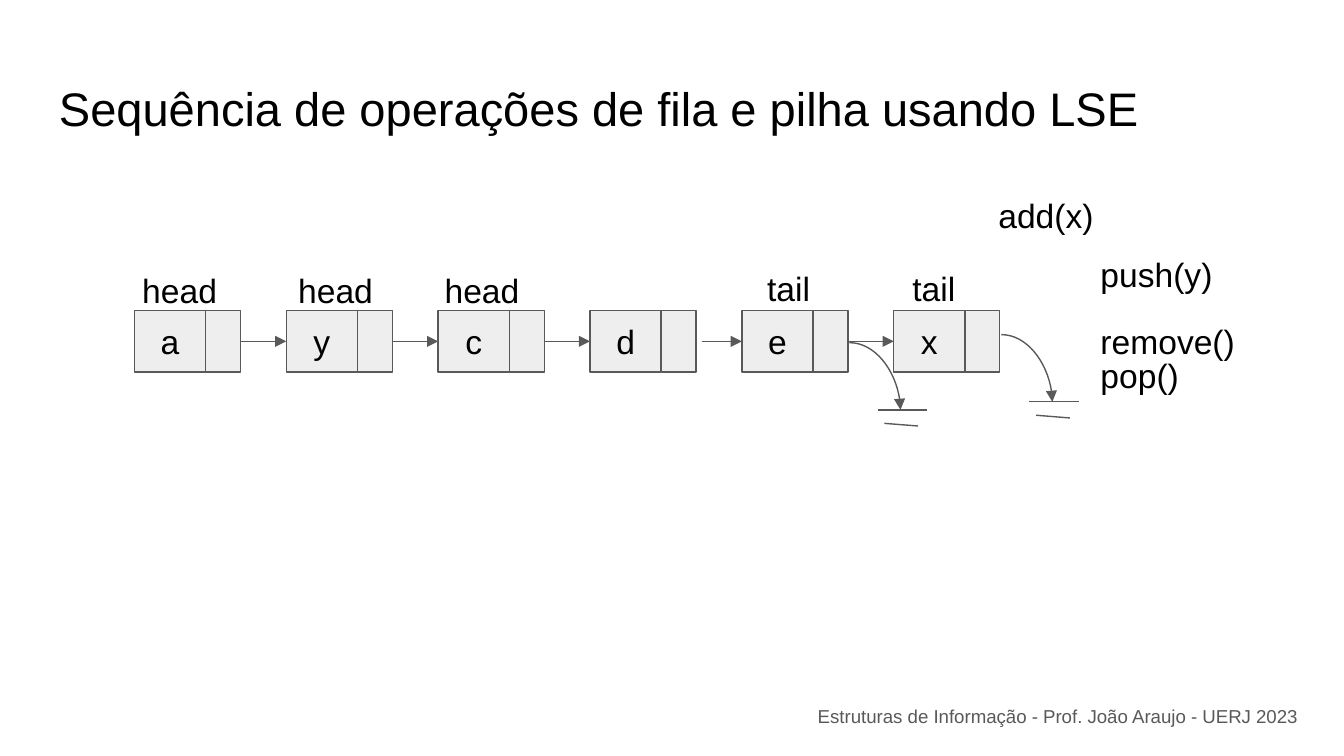
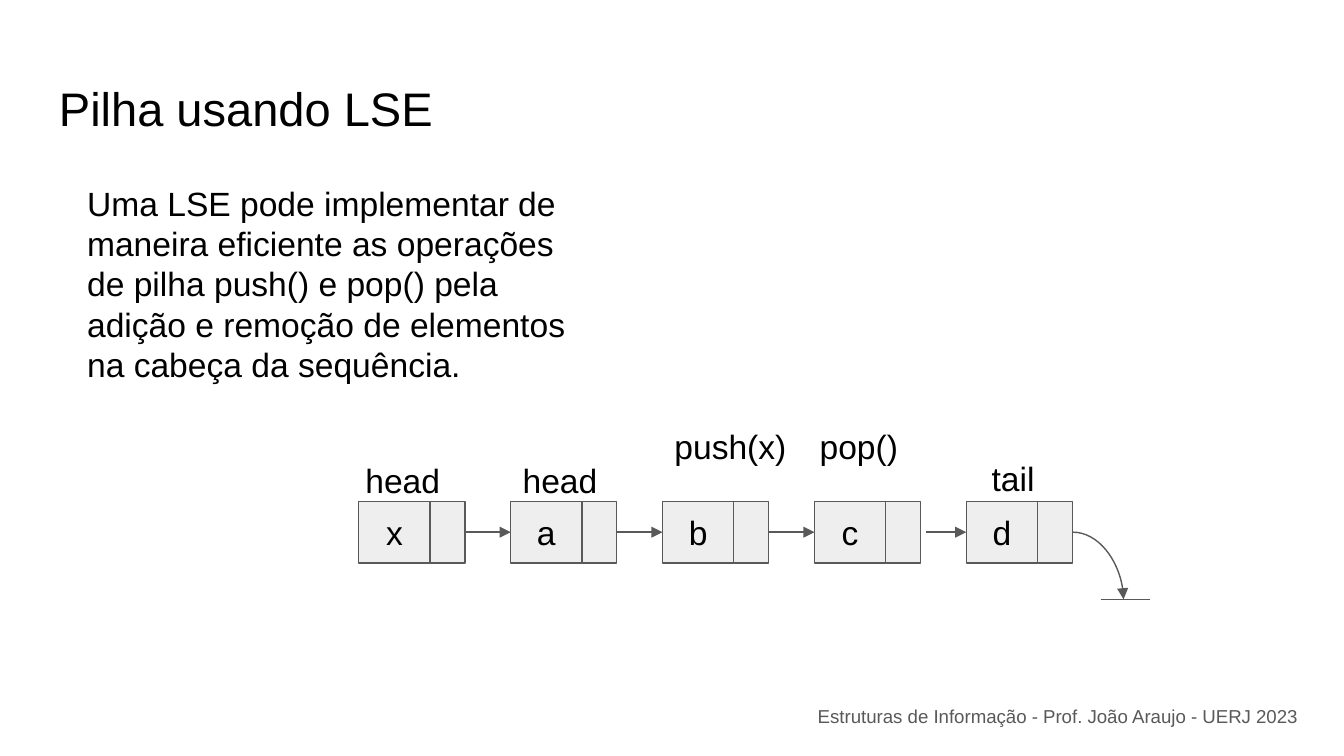
from lxml.etree import SubElement
from pptx import Presentation
from pptx.dml.color import RGBColor
from pptx.enum.shapes import MSO_CONNECTOR, MSO_SHAPE
from pptx.enum.text import MSO_ANCHOR, PP_ALIGN
from pptx.oxml.ns import qn
from pptx.util import Inches, Pt

COLOURS = {"text": "000000", "line": "595959", "cell": "EEEEEE", "footer": "595959"}
FONT = "Arial"
FOOTER = "Estruturas de Informação - Prof. João Araujo - UERJ 2023"
PITCH, VALUE_WIDTH, LINK_WIDTH, NODE_HEIGHT = 1.13, 0.53, 0.26, 0.46
NODE_WIDTH = VALUE_WIDTH + LINK_WIDTH
HEAD, TAIL, CALL = (1.09, 0.5), (0.64, 0.36), (1.23, 0.5)


def colour(name):
    """Return the named colour of the deck."""
    return RGBColor.from_string(COLOURS[name])


def write(shape, text, size=18, ink="text", align=PP_ALIGN.LEFT):
    """Write one paragraph into a shape."""
    frame = shape.text_frame
    frame.word_wrap = True
    frame.margin_left = frame.margin_right = Inches(0.1)
    frame.margin_top = frame.margin_bottom = Inches(0.1)
    para = frame.paragraphs[0]
    para.alignment = align
    span = para.add_run()
    span.text = text
    span.font.name = FONT
    span.font.size = Pt(size)
    span.font.color.rgb = colour(ink)


def add_text(page, box, text, **style):
    """Add a text box at left, top, width, height."""
    write(page.shapes.add_textbox(*map(Inches, box)), text, **style)


def add_labels(page, labels):
    """Add labels given as text, left, top and size."""
    for text, left, top, size in labels:
        add_text(page, (left, top, *size), text)


def add_cell(page, box, text=None):
    """Add one cell of a node, with a value if there is one."""
    cell = page.shapes.add_shape(MSO_SHAPE.RECTANGLE, *map(Inches, box))
    cell.shadow.inherit = False
    cell.fill.solid()
    cell.fill.fore_color.rgb = colour("cell")
    cell.line.color.rgb = colour("line")
    cell.line.width = Pt(0.75)
    if text:
        write(cell, text, align=PP_ALIGN.CENTER)
        cell.text_frame.vertical_anchor = MSO_ANCHOR.MIDDLE


def add_line(page, start, end, arrow=False, curved=False):
    """Add a straight or curved line, with an arrowhead if asked."""
    kind = MSO_CONNECTOR.CURVE if curved else MSO_CONNECTOR.STRAIGHT
    line = page.shapes.add_connector(kind, *map(Inches, (*start, *end)))
    line.line.color.rgb = colour("line")
    line.line.width = Pt(0.75)
    properties = line._element.spPr
    if curved:
        properties.find(qn("a:prstGeom")).set("prst", "curvedConnector2")
    if arrow:
        SubElement(properties.find(qn("a:ln")), qn("a:tailEnd"), type="triangle")
    SubElement(properties, qn("a:effectLst"))


def add_list(page, left, top, values):
    """Draw a linked list; the arrow after the fourth node starts a little apart."""
    middle = top + NODE_HEIGHT / 2
    for index, value in enumerate(values):
        x = left + index * PITCH
        add_cell(page, (x, top, VALUE_WIDTH, NODE_HEIGHT), value)
        add_cell(page, (x + VALUE_WIDTH, top, LINK_WIDTH, NODE_HEIGHT))
        if index < len(values) - 1:
            gap = 0.04 if index == 3 else 0
            add_line(page, (x + NODE_WIDTH + gap, middle), (x + PITCH, middle), arrow=True)


def add_ground(page, left, top, second_bar=True):
    """Draw the end of a list: a curved arrow to one or two bars."""
    add_line(page, (left, top), (left + 0.38, top + 0.5), arrow=True, curved=True)
    add_line(page, (left + 0.21, top + 0.5), (left + 0.58, top + 0.5))
    if second_bar:
        add_line(page, (left + 0.26, top + 0.6), (left + 0.51, top + 0.62))


def add_page(deck, title):
    """Add a blank slide with its title and the footer."""
    page = deck.slides.add_slide(deck.slide_layouts[6])
    add_text(page, (5.64, 5.16, 4.11, 0.3), FOOTER, size=10, ink="footer",
             align=PP_ALIGN.RIGHT)
    add_text(page, (0.34, 0.49, 9.32, 0.63), title, size=25.2)
    return page


def add_operations_page(deck):
    """Build the slide on queue and stack operations."""
    page = add_page(deck, "Sequência de operações de fila e pilha usando LSE")
    add_list(page, 1, 2.31, "aycdex")
    add_ground(page, 6.32, 2.55)
    add_ground(page, 7.45, 2.49)
    add_labels(page, [
        ("head", 0.96, 1.91, HEAD),
        ("head", 2.12, 1.91, HEAD),
        ("head", 3.21, 1.91, HEAD),
        ("tail", 5.61, 1.89, TAIL),
        ("tail", 6.69, 1.89, TAIL),
        ("add(x)", 7.33, 1.35, (1.01, 0.5)),
        ("push(y)", 8.09, 1.79, CALL),
        ("remove()", 8.09, 2.29, CALL),
        ("pop()", 8.09, 2.54, CALL),
    ])


def add_stack_page(deck):
    """Build the slide on the stack."""
    page = add_page(deck, "Pilha usando LSE")
    add_text(page, (0.55, 1.26, 3.86, 2.15),
             "Uma LSE pode implementar de maneira eficiente as operações de pilha "
             "push() e pop() pela adição e remoção de elementos na cabeça da sequência.")
    add_list(page, 2.67, 3.73, "xabcd")
    add_ground(page, 7.98, 3.96, second_bar=False)
    add_labels(page, [
        ("head", 2.62, 3.32, HEAD),
        ("head", 3.79, 3.32, HEAD),
        ("tail", 7.28, 3.31, TAIL),
        ("push(x)", 4.92, 3.07, CALL),
        ("pop()", 6, 3.07, CALL),
    ])


def main():
    """Build and save the deck."""
    deck = Presentation()
    deck.slide_width = Inches(10)
    deck.slide_height = deck.slide_width * 9 // 16
    add_operations_page(deck)
    add_stack_page(deck)
    deck.save("out.pptx")


if __name__ == "__main__":
    main()
